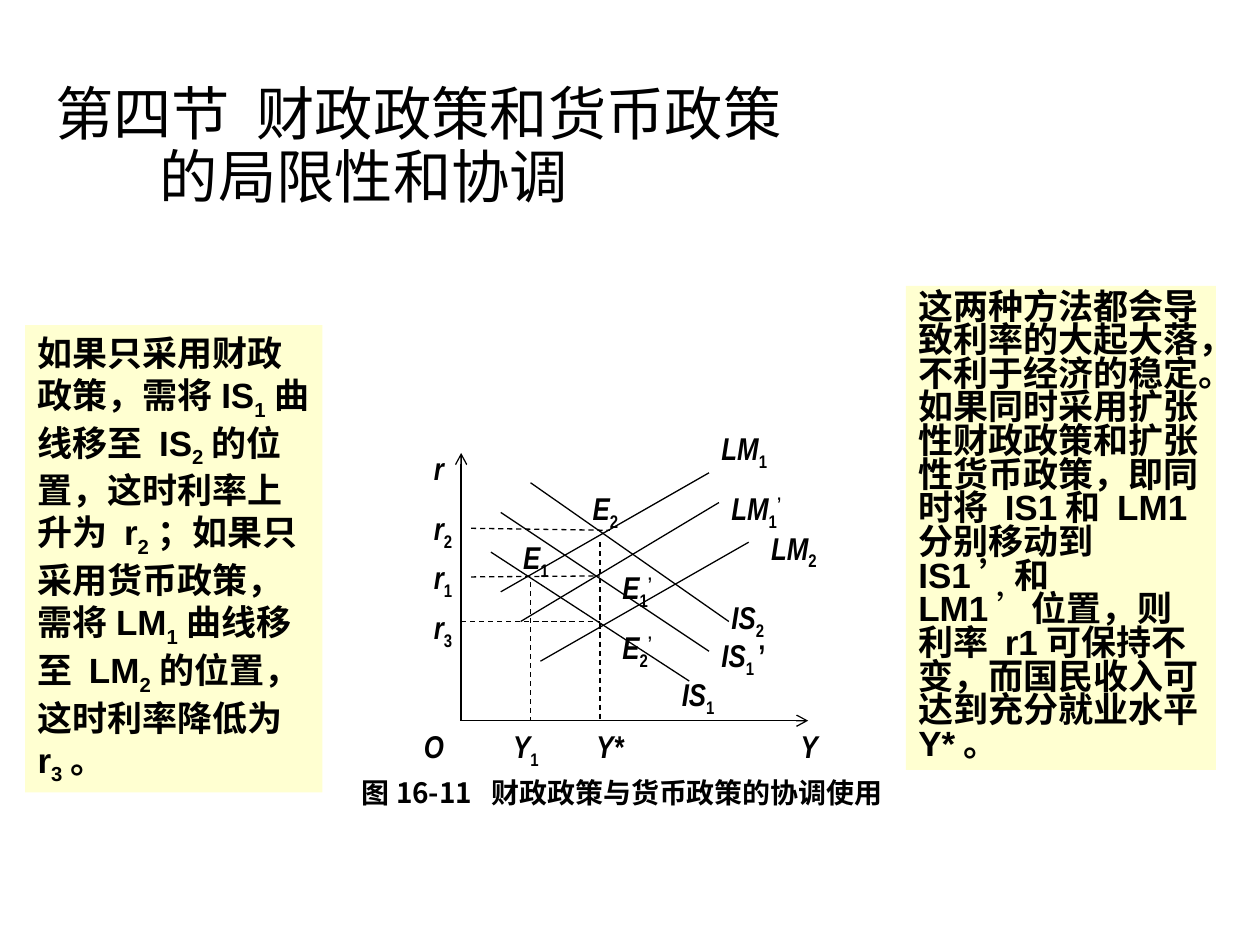
from lxml import etree
from pptx import Presentation
from pptx.dml.color import RGBColor
from pptx.enum.dml import MSO_LINE
from pptx.enum.shapes import MSO_CONNECTOR, MSO_SHAPE
from pptx.enum.text import MSO_ANCHOR, MSO_AUTO_SIZE, PP_ALIGN
from pptx.oxml.ns import qn
from pptx.util import Inches, Pt

STRAIGHT = MSO_CONNECTOR.STRAIGHT
DASH = MSO_LINE.DASH
RECTANGLE = MSO_SHAPE.RECTANGLE
TOP, MIDDLE = MSO_ANCHOR.TOP, MSO_ANCHOR.MIDDLE
GROW, FIXED = MSO_AUTO_SIZE.SHAPE_TO_FIT_TEXT, MSO_AUTO_SIZE.NONE
LEFT = PP_ALIGN.LEFT

CJK, SANS, NARROW = "Noto Sans CJK SC", "Arial", "Arial Narrow"
BLACK, CREAM = "000000", "FFFFD1"
UNIT = 0.0787
ORIGIN_X, ORIGIN_Y = 3.66, 5.72

RUN_STYLES = {
    "sub": {"baseline": "-25000"},
    "label sub": {"baseline": "-25000", "i": "0"},
    "label sup": {"baseline": "30000", "i": "0"},
    "upright": {"i": "0"},
    "light": {"b": "0"},
}

TITLE = ["第四节  财政政策和货币政策", "的局限性和协调"]
CAPTION = ["图16-11  ", "财政政策与货币政策的协调使用"]
SINGLE_POLICY = [
    "如果只采用财政政策，需将IS", ("1", "sub"), "曲线移至 IS", ("2", "sub"),
    "的位置，这时利率上升为 r", ("2", "sub"), "；如果只采用货币政策，需将LM",
    ("1", "sub"), "曲线移至 LM", ("2", "sub"), "的位置，这时利率降低为 r",
    ("3", "sub"), "。",
]
JOINT_POLICY = [
    "这两种方法都会导致利率的大起大落，不利于经济的稳定。如果同时采用扩张性财政政策和"
    "扩张性货币政策，即同时将 IS1和 LM1分别移动到 IS1’和 LM1",
    ("’", "light"),
    "位置，则利率 r1可保持不变，而国民收入可达到充分就业水平 Y*。",
]

AXES = [(0, 0, 35, 0), (0, 0, 0, 27)]
IS_CURVES = [(3, 17, 23, 4), (4, 21, 25, 7), (7, 24, 27, 10)]
LM_CURVES = [(4, 13, 25, 25), (6, 10, 26, 22), (8, 6, 29, 18)]
GUIDES = [(1, 19.4, 15, 19.2), (1, 14.5, 14, 14.6), (0, 10, 14, 10),
          (14, 18, 14, 0), (7, 14, 7, 0)]

ONE, TWO, THREE = [(digit, "label sub") for digit in "123"]
PRIME = ("’", "label sup")
LABELS = [
    (33, 0, 4, ["Y"]), (4, 0, 17, ["Y", ONE, "\tY*"]),
    (-4, 28, 8, ["r"]), (-5, 0, 4, ["O"]),
    (-4, 17, 5, ["r", ONE]), (-4, 22, 5, ["r", TWO]), (-4, 12, 5, ["r", THREE]),
    (5, 19, 6, ["E", ONE]), (12, 24, 7, ["E", TWO]),
    (15, 16, 6, ["E", ONE, PRIME]), (15, 10, 6, ["E", TWO, PRIME]),
    (21, 5.2, 7, ["IS", ONE]),
    (25, 9.15, 10, ["IS", ("1 ", "label sub"), ("’", "upright")]),
    (26, 13, 9, ["IS", TWO]),
    (25, 30, 8, ["LM", ONE]), (26, 24, 8, ["LM", ONE, PRIME]),
    (30, 20, 10, ["LM", TWO]),
]


def color(value):
    return RGBColor.from_string(value)


def grid_point(column, row):
    return ORIGIN_X + column * UNIT, ORIGIN_Y - row * UNIT


def set_frame(shape, anchor=TOP, fit=GROW):
    frame = shape.text_frame
    frame.word_wrap = True
    frame.vertical_anchor = anchor
    frame.auto_size = fit
    return frame


def add_text_box(slide, x, y, width, height, **options):
    box = slide.shapes.add_textbox(*map(Inches, (x, y, width, height)))
    return set_frame(box, **options)


def write(paragraph, pieces, size, face, bold=False, italic=False, spacing=None):
    paragraph.alignment = LEFT
    if spacing:
        paragraph.line_spacing = spacing
    for piece in pieces:
        text, style = (piece, None) if isinstance(piece, str) else piece
        run = paragraph.add_run()
        run.text = text
        for key, value in RUN_STYLES.get(style, {}).items():
            run._r.get_or_add_rPr().set(key, value)
    font = paragraph.font
    font.size, font.name, font.bold, font.italic = Pt(size), face, bold, italic
    font.color.rgb = color(BLACK)
    etree.SubElement(font._element, qn("a:ea"), typeface=CJK)


def indent(paragraph, inches):
    paragraph._p.get_or_add_pPr().set("marL", str(Inches(inches)))


def add_tab_stop(paragraph, inches):
    tabs = etree.SubElement(paragraph._p.get_or_add_pPr(), qn("a:tabLst"))
    etree.SubElement(tabs, qn("a:tab"), pos=str(Inches(inches)), algn="l")


def add_line(slide, ends, dashed=False, arrow=False):
    start, end = grid_point(*ends[:2]), grid_point(*ends[2:])
    connector = slide.shapes.add_connector(STRAIGHT, *map(Inches, start + end))
    connector.line.color.rgb = color(BLACK)
    connector.line.width = Pt(0.75)
    if dashed:
        connector.line.dash_style = DASH
    if arrow:
        etree.SubElement(connector.line._get_or_add_ln(), qn("a:tailEnd"), type="arrow")
    etree.SubElement(connector._element.spPr, qn("a:effectLst"))


def add_note(slide, place, pieces, spacing=None):
    note = slide.shapes.add_shape(RECTANGLE, *map(Inches, place))
    note.shadow.inherit = False
    note.fill.solid()
    note.fill.fore_color.rgb = color(CREAM)
    note.line.fill.background()
    write(set_frame(note).paragraphs[0], pieces, 20, SANS, bold=True, spacing=spacing)


def main():
    deck = Presentation()
    deck.slide_width, deck.slide_height = Inches(10), Inches(7.5)
    slide = deck.slides.add_slide(deck.slide_layouts[6])

    caption = add_text_box(slide, 2.72, 6.11, 5.2, 0.44).paragraphs[0]
    indent(caption, 0.05)
    write(caption, CAPTION, 16, CJK, bold=True)

    for axis in AXES:
        add_line(slide, axis, arrow=True)
    for curve in IS_CURVES + LM_CURVES:
        add_line(slide, curve)
    for guide in GUIDES:
        add_line(slide, guide, dashed=True)

    for column, row, columns, pieces in LABELS:
        height = 0.44 if len(pieces) > 1 else 0.4
        frame = add_text_box(slide, *grid_point(column, row), columns * UNIT, height)
        label = frame.paragraphs[0]
        if any("\t" in piece for piece in pieces):
            add_tab_stop(label, 0.66)
        write(label, pieces, 18, NARROW, bold=True, italic=True)

    add_note(slide, (0.2, 2.58, 2.36, 3.71), SINGLE_POLICY)
    add_note(slide, (7.19, 2.27, 2.46, 3.84), JOINT_POLICY, spacing=0.8)

    title = add_text_box(slide, 0.34, 0.48, 9.08, 1.89, anchor=MIDDLE, fit=FIXED)
    title.margin_bottom = Inches(0.55)
    first_line, second_line = title.paragraphs[0], title.add_paragraph()
    indent(second_line, 0.83)
    for paragraph, text in zip((first_line, second_line), TITLE):
        write(paragraph, [text], 33.3, CJK, spacing=0.9)

    deck.save("out.pptx")


if __name__ == "__main__":
    main()
